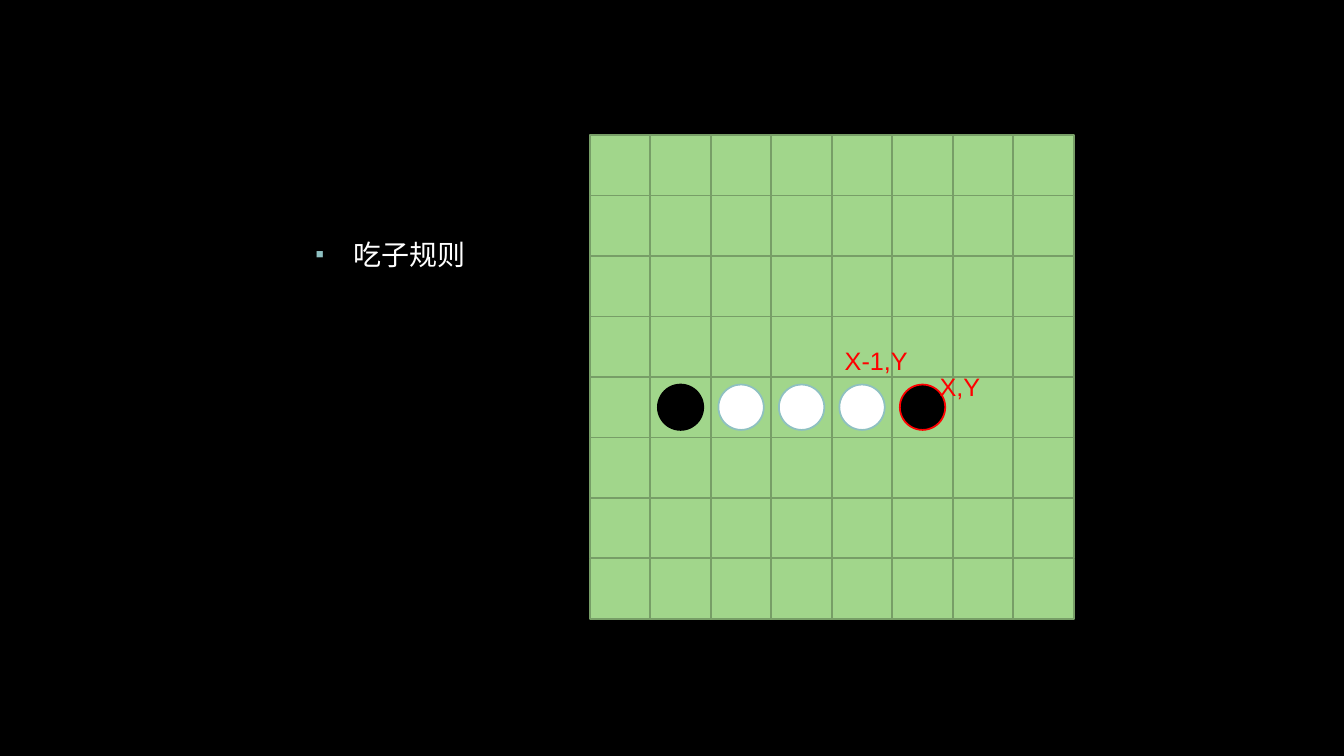
from dataclasses import dataclass
from itertools import product

from lxml import etree
from pptx import Presentation
from pptx import util as u
from pptx.dml.color import RGBColor
from pptx.enum import shapes, text
from pptx.oxml import ns

COLORS = {
    "black": "000000",
    "white": "FFFFFF",
    "red": "FF0000",
    "teal": "8EC0C1",
    "board": "A1D68B",
    "grid": "779E67",
}
BOARD_LEFT, BOARD_TOP = 5.85, 1.34
CELLS, CELL, DISC = 8, 0.6, 0.45


@dataclass(frozen=True)
class Piece:
    col: int
    fill: str
    line: str
    row: int = 4


@dataclass(frozen=True)
class Label:
    words: str
    left: float
    top: float


PIECES = [
    Piece(4, "white", "teal"),
    Piece(1, "black", "black"),
    Piece(5, "black", "red"),
    Piece(3, "white", "teal"),
    Piece(2, "white", "teal"),
]
LABELS = [Label("X,Y", 9.22, 3.63), Label("X-1,Y", 8.28, 3.38)]


def rgb(name: str) -> RGBColor:
    return RGBColor.from_string(COLORS[name])


def add_cell_shape(s, kind, col: int, row: int, size: float, fill: str, line: str) -> None:
    inset = (CELL - size) / 2
    sp = s.shapes.add_shape(
        kind,
        u.Inches(BOARD_LEFT + col * CELL + inset),
        u.Inches(BOARD_TOP + row * CELL + inset),
        u.Inches(size),
        u.Inches(size),
    )
    sp.shadow.inherit = False
    sp.fill.solid()
    sp.fill.fore_color.rgb = rgb(fill)
    sp.line.color.rgb = rgb(line)
    sp.line.width = u.Pt(1.25)


def add_text(s, words: str, left: float, top: float, width: float, height: float,
             *, size: float, color: str, grow: bool = False):
    sp = s.shapes.add_textbox(u.Inches(left), u.Inches(top), u.Inches(width), u.Inches(height))
    tf = sp.text_frame
    tf.word_wrap = True
    tf.auto_size = text.MSO_AUTO_SIZE.SHAPE_TO_FIT_TEXT if grow else text.MSO_AUTO_SIZE.NONE
    p = tf.paragraphs[0]
    r = p.add_run()
    r.text = words
    r.font.name = "Arial"
    r.font.size = u.Pt(size)
    r.font.color.rgb = rgb(color)
    return p


def add_bullet(p, char: str, color: str, percent: int, indent: float) -> None:
    pPr = p._p.get_or_add_pPr()
    pPr.set("marL", str(u.Inches(indent)))
    pPr.set("indent", str(-u.Inches(indent)))
    buClr = etree.SubElement(pPr, ns.qn("a:buClr"))
    etree.SubElement(buClr, ns.qn("a:srgbClr"), val=COLORS[color])
    etree.SubElement(pPr, ns.qn("a:buSzPct"), val=str(percent * 1000))
    etree.SubElement(pPr, ns.qn("a:buFont"), typeface="Arial")
    etree.SubElement(pPr, ns.qn("a:buChar"), char=char)


def main() -> None:
    prs = Presentation()
    prs.slide_width, prs.slide_height = u.Inches(13.33), u.Inches(7.5)
    s = prs.slides.add_slide(prs.slide_layouts[6])
    s.background.fill.solid()
    s.background.fill.fore_color.rgb = rgb("black")

    p = add_text(s, "吃子规则", 3.03, 2.24, 8.53, 4.37, size=20, color="white")
    p.line_spacing = 1.2
    p.space_before, p.space_after = u.Pt(10), u.Pt(6)
    add_bullet(p, "▪", "teal", 90, 0.38)

    for row, col in product(range(CELLS), repeat=2):
        add_cell_shape(s, shapes.MSO_SHAPE.RECTANGLE, col, row, CELL, "board", "grid")
    for piece in PIECES:
        add_cell_shape(s, shapes.MSO_SHAPE.OVAL, piece.col, piece.row, DISC, piece.fill, piece.line)
    for label in LABELS:
        add_text(s, label.words, label.left, label.top, 0.83, 0.4, size=18, color="red", grow=True)

    prs.save("out.pptx")


if __name__ == "__main__":
    main()
